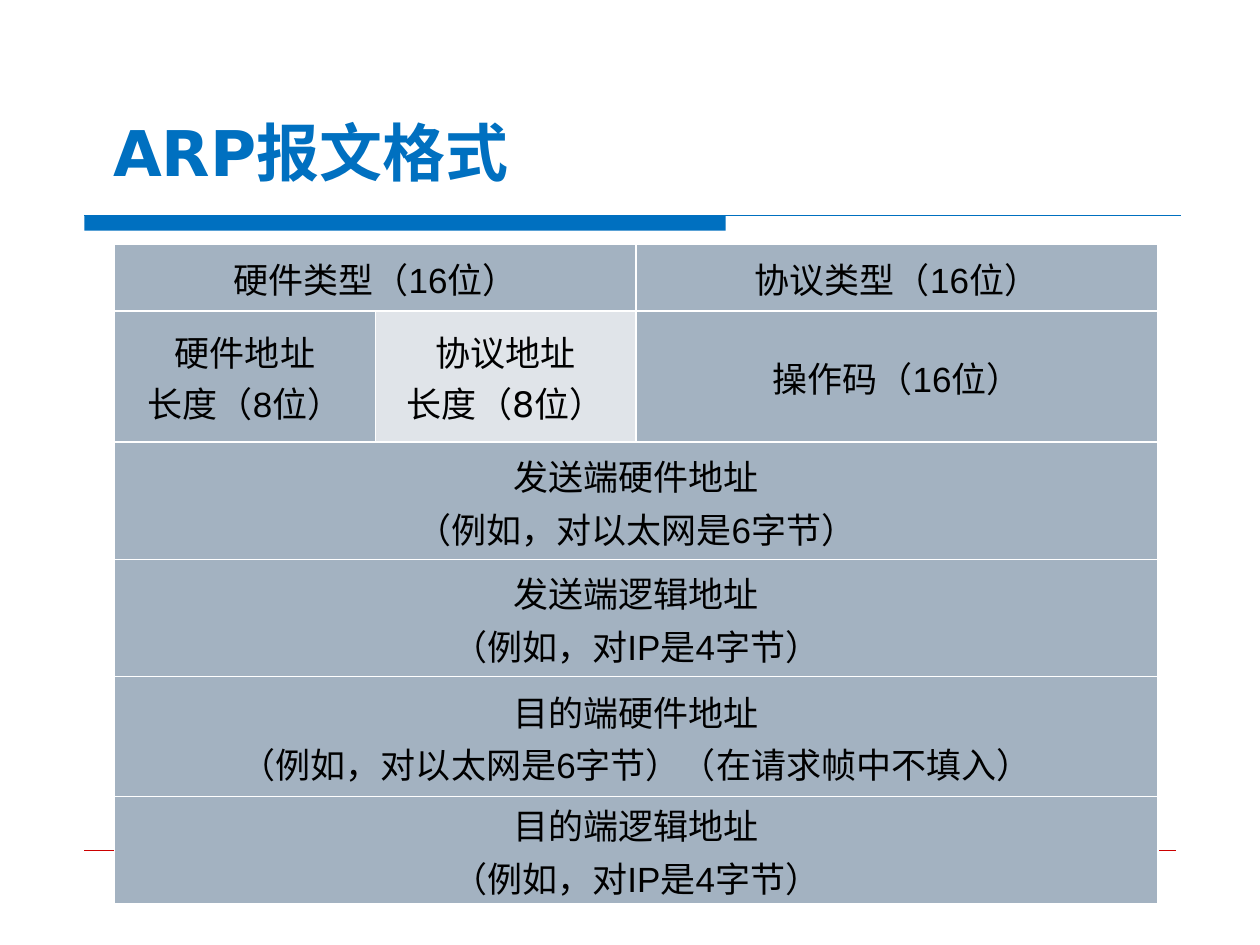
"""Build a slide that shows the ARP packet format as a table of fields."""
from dataclasses import dataclass

from lxml.etree import SubElement
from pptx import Presentation
from pptx.dml.color import RGBColor
from pptx.enum.shapes import MSO_CONNECTOR, MSO_SHAPE
from pptx.enum.text import MSO_ANCHOR, PP_ALIGN
from pptx.oxml.ns import qn
from pptx.util import Inches, Length, Pt

COLS, ROWS = 10, 7.5
BLUE, RED, WHITE, BLACK = "0070C0", "CC0000", "FFFFFF", "000000"
SLATE, PALE = "A3B2C1", "E0E4E9"
SANS, WIDE = "Arial", "DejaVu Sans"
WIDTHS = (2.07, 2.07, 4.14)
HEIGHTS = (0.53, 1.04, 0.93, 0.93, 0.95, 0.85)


@dataclass(frozen=True)
class Field:
    row: int
    col: int
    span: int
    lines: tuple[str, ...]
    fill: str = SLATE
    font: str = SANS
    pitch: int | None = None


@dataclass(frozen=True)
class Rule:
    left: float
    right: float
    top: float
    hue: str
    width: float


ETHER, IP = "（例如，对以太网是6字节）", "（例如，对IP是4字节）"
ADDRESSES = (
    ("发送端硬件地址", ETHER),
    ("发送端逻辑地址", IP),
    ("目的端硬件地址", ETHER + "（在请求帧中不填入）"),
    ("目的端逻辑地址", IP),
)
FIELDS = (
    Field(0, 0, 2, ("硬件类型（16位）",)),
    Field(0, 2, 1, ("协议类型（16位）",)),
    Field(1, 0, 1, ("硬件地址", "长度（8位）")),
    Field(1, 1, 1, ("协议地址", "长度（8位）"), PALE, WIDE),
    Field(1, 2, 1, ("操作码（16位）",)),
    *(Field(row, 0, 3, pair, pitch=30) for row, pair in enumerate(ADDRESSES, 2)),
)
RULES = (Rule(0.67, 9.37, 1.71, BLUE, 0.75), Rule(0.67, 9.33, 6.75, RED, 0.25))


def unit(count: float) -> Length:
    """Turn a count of grid columns or rows into a length."""
    return Inches(count)


def paint(hue: str) -> RGBColor:
    """Turn a hex string into a colour."""
    return RGBColor.from_string(hue)


def write(para, text: str, size: int, font: str, hue: str, bold: bool = False) -> None:
    """Add one styled run to a paragraph."""
    run = para.add_run()
    run.text = text
    run.font.size, run.font.name, run.font.bold = Pt(size), font, bold
    run.font.color.rgb = paint(hue)


def draw_rule(slide, rule: Rule) -> None:
    """Draw a thin level line without a shadow."""
    line = slide.shapes.add_connector(
        MSO_CONNECTOR.STRAIGHT,
        unit(rule.left), unit(rule.top), unit(rule.right), unit(rule.top),
    )
    line.line.color.rgb = paint(rule.hue)
    line.line.width = Pt(rule.width)
    SubElement(line._element.spPr, qn("a:effectLst"))


def draw_bar(slide) -> None:
    """Draw the solid bar under the title."""
    bar = slide.shapes.add_shape(
        MSO_SHAPE.RECTANGLE, unit(0.67), unit(1.71), unit(5.09), unit(0.12)
    )
    bar.shadow.inherit = False
    bar.fill.solid()
    bar.fill.fore_color.rgb = paint(BLUE)
    bar.line.fill.background()


def draw_title(slide) -> None:
    """Write the slide title."""
    frame = slide.shapes.add_textbox(
        unit(0.8), unit(0.3), unit(8.5), unit(1.25)
    ).text_frame
    frame.word_wrap = True
    frame.vertical_anchor = MSO_ANCHOR.BOTTOM
    write(frame.paragraphs[0], "ARP报文格式", 36, WIDE, BLUE, True)


def style(cell, hue: str) -> None:
    """Give a cell white borders and a plain fill."""
    props = cell._tc.get_or_add_tcPr()
    for side in "LRTB":
        edge = SubElement(props, qn(f"a:ln{side}"), w=str(Pt(1)))
        fill = SubElement(edge, qn("a:solidFill"))
        SubElement(fill, qn("a:srgbClr"), val=WHITE)
    cell.fill.solid()
    cell.fill.fore_color.rgb = paint(hue)


def draw_field(table, field: Field) -> None:
    """Fill in one packet field across its columns."""
    last = field.col + field.span - 1
    for col in range(field.col, last + 1):
        style(table.cell(field.row, col), field.fill)
    cell = table.cell(field.row, field.col)
    if field.span > 1:
        cell.merge(table.cell(field.row, last))
    cell.vertical_anchor = MSO_ANCHOR.MIDDLE
    cell.margin_left = cell.margin_right = unit(0.08)
    cell.margin_top = cell.margin_bottom = 0
    frame = cell.text_frame
    for index, text in enumerate(field.lines):
        para = frame.add_paragraph() if index else frame.paragraphs[0]
        para.alignment = PP_ALIGN.CENTER
        if field.pitch:
            para.line_spacing = Pt(field.pitch)
        write(para, text, 20, field.font, BLACK)


def draw_table(slide) -> None:
    """Draw the packet layout."""
    table = slide.shapes.add_table(
        len(HEIGHTS), len(WIDTHS), unit(0.91), unit(1.94),
        unit(sum(WIDTHS)), unit(sum(HEIGHTS)),
    ).table
    table.first_row = table.horz_banding = False
    for col, width in zip(table.columns, WIDTHS):
        col.width = unit(width)
    for row, height in zip(table.rows, HEIGHTS):
        row.height = unit(height)
    for field in FIELDS:
        draw_field(table, field)


def main() -> None:
    """Build and save the slide."""
    deck = Presentation()
    deck.slide_width, deck.slide_height = unit(COLS), unit(ROWS)
    slide = deck.slides.add_slide(deck.slide_layouts[6])
    draw_bar(slide)
    for rule in RULES:
        draw_rule(slide, rule)
    draw_title(slide)
    draw_table(slide)
    deck.save("out.pptx")


if __name__ == "__main__":
    main()
